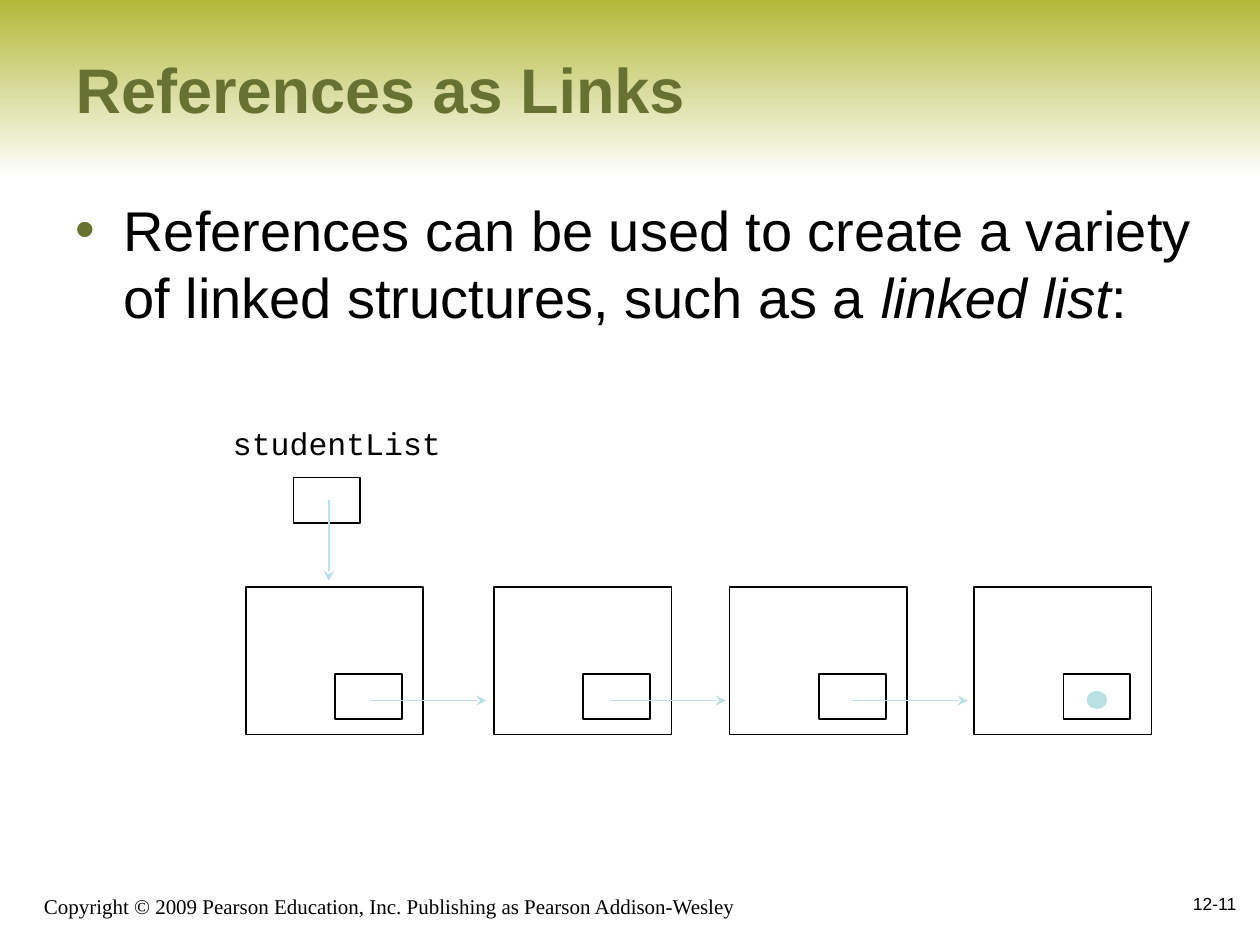
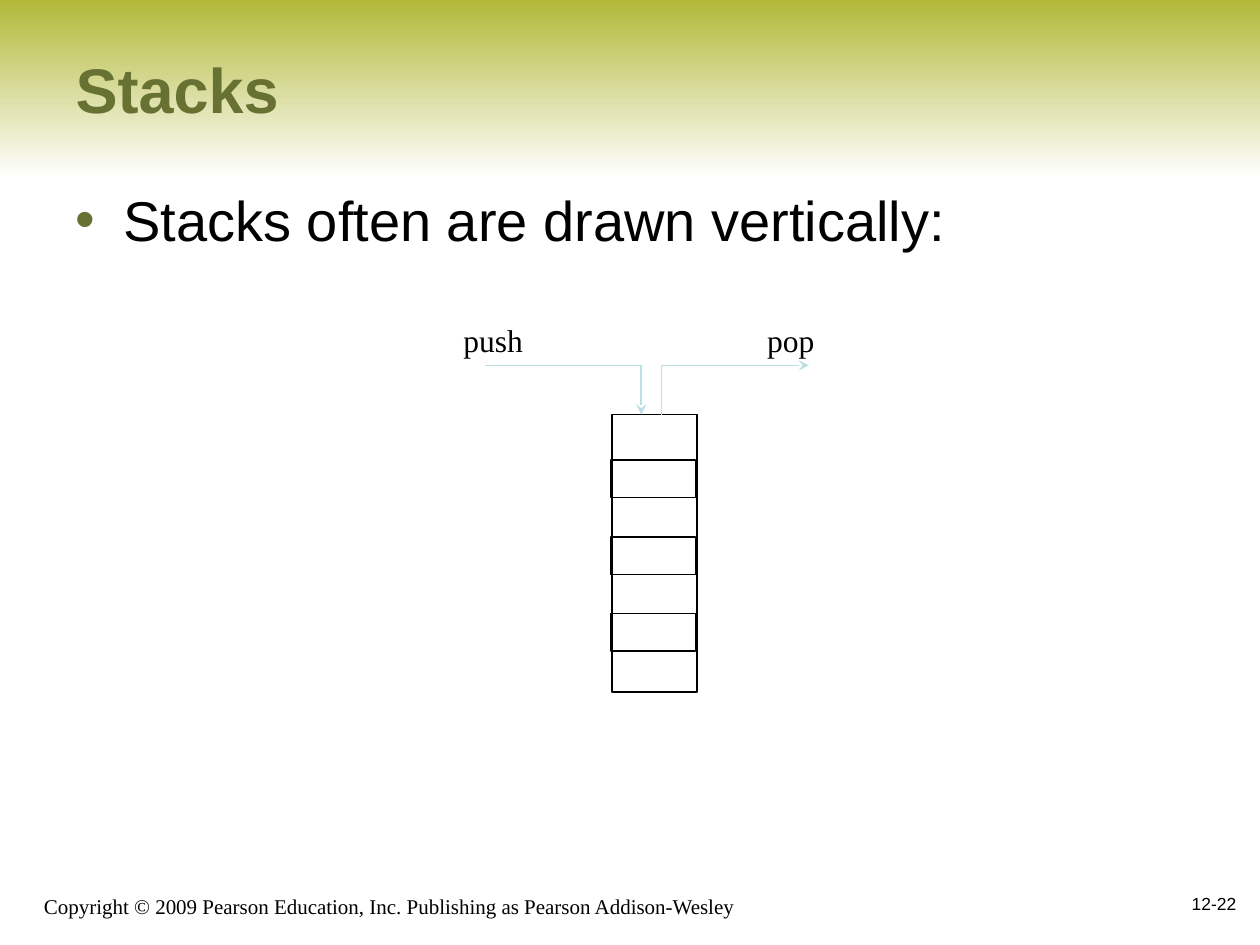
from pptx import Presentation
from pptx.dml.color import RGBColor
from pptx.enum.shapes import MSO_CONNECTOR as Conn, MSO_SHAPE as Geom
from pptx.enum.text import MSO_ANCHOR as Anchor, MSO_AUTO_SIZE as Fit, PP_ALIGN as Align
from pptx.oxml.ns import qn
from pptx.util import Inches, Pt
from lxml.etree import SubElement

# Shared look
OLIVE, LIME, WHITE, BLACK, AQUA = "677132", "B2B938", "FFFFFF", "000000", "BBE0E3"
SANS, SERIF, MONO = "Arial", "Times New Roman", "Courier New"
NOTICE = "Copyright © 2009 Pearson Education, Inc. Publishing as Pearson Addison-Wesley"


def paint(target, color):
    target.rgb = RGBColor.from_string(color)


def place(shape, left, top, width, height):
    shape.left, shape.top = Inches(left), Inches(top)
    shape.width, shape.height = Inches(width), Inches(height)


def add_run(para, text, size, face, color=BLACK, bold=False, italic=False):
    run = para.add_run()
    run.text = text
    font = run.font
    font.size, font.name, font.bold, font.italic = Pt(size), face, bold, italic
    paint(font.color, color)


def set_frame(shape, anchor, align=Align.LEFT, wrap=True, fit=Fit.NONE):
    """Set up the text frame and return its first paragraph."""
    frame = shape.text_frame
    frame.word_wrap, frame.auto_size = wrap, fit
    frame.vertical_anchor = anchor
    para = frame.paragraphs[0]
    para.alignment, para.space_before = align, Pt(0)
    return para


def add_text(slide, text, box, size, face, anchor=Anchor.TOP, **frame):
    shape = slide.shapes.add_textbox(*map(Inches, box))
    add_run(set_frame(shape, anchor, **frame), text, size, face)


def add_label(slide, text, box, face):
    add_text(slide, text, box, 18, face, wrap=False, fit=Fit.SHAPE_TO_FIT_TEXT)


def add_box(slide, left, top, width, height, geom=Geom.RECTANGLE, fill=None, line=BLACK):
    shape = slide.shapes.add_shape(geom, *map(Inches, (left, top, width, height)))
    shape.shadow.inherit = False
    if fill:
        shape.fill.solid()
        paint(shape.fill.fore_color, fill)
    else:
        shape.fill.background()
    paint(shape.line.color, line)
    shape.line.width = Pt(1)
    return shape


def add_line(slide, start, end, arrow=True):
    link = slide.shapes.add_connector(Conn.STRAIGHT, *map(Inches, start + end))
    paint(link.line.color, AQUA)
    link.line.width = Pt(1)
    if arrow:
        SubElement(link.line._get_or_add_ln(), qn("a:tailEnd"), type="stealth")
    SubElement(link.element.spPr, qn("a:effectLst"))


def add_bullet(para):
    props = para._p.get_or_add_pPr()
    props.set("marL", str(Inches(0.38)))
    props.set("indent", str(Inches(-0.38)))
    tint = SubElement(props, qn("a:buClr"))
    SubElement(tint, qn("a:srgbClr"), val=OLIVE)
    SubElement(props, qn("a:buFont"), typeface=SANS)
    SubElement(props, qn("a:buChar"), char="•")


def add_band(slide):
    band = add_box(slide, 0, 0, 10, 1.42)
    band.line.fill.background()
    band.fill.gradient()
    band.fill.gradient_angle = 270
    for stop, color, spot in zip(band.fill.gradient_stops, (LIME, WHITE), (0, 1)):
        paint(stop.color, color)
        stop.position = spot
    slide.shapes.element.insert(2, band.element)  # behind the title


def add_slide(deck, title, page, top, parts):
    """Add a slide with band, footer, title and one bullet of (text, italic) parts."""
    slide = deck.slides.add_slide(deck.slide_layouts[1])
    add_band(slide)
    add_text(slide, NOTICE, (0.25, 6.92, 6.08, 0.42), 12, SERIF, Anchor.BOTTOM)
    add_text(slide, page, (7.83, 6.92, 2.08, 0.5), 10, SANS, Anchor.MIDDLE,
             align=Align.RIGHT)
    head, body = slide.shapes.title, slide.placeholders[1]
    place(head, 0.5, 0.08, 9.08, 1.25)
    add_run(set_frame(head, Anchor.MIDDLE), title, 36, SANS, OLIVE, bold=True)
    place(body, 0.5, top, 9.08, 4.5)
    para = set_frame(body, Anchor.TOP)
    add_bullet(para)
    for text, italic in parts:
        add_run(para, text, 32, SANS, italic=italic)
    return slide


def draw_list(slide):
    # Head reference
    add_box(slide, 2.33, 3.79, 0.53, 0.36)
    add_label(slide, "studentList", (1.75, 3.32, 1.85, 0.4), MONO)
    # Nodes, each with its link field
    for left in (1.95, 3.92, 5.79, 7.73):
        add_box(slide, left, 4.66, 1.41, 1.17)
        add_box(slide, left + 0.71, 5.35, 0.53, 0.36)
    # Links and the end mark
    for left in (2.94, 4.84, 6.76):
        add_line(slide, (left, 5.56), (left + 0.92, 5.56))
    add_line(slide, (2.61, 3.97), (2.61, 4.61))
    add_box(slide, 8.63, 5.49, 0.15, 0.13, Geom.OVAL, AQUA, AQUA)


def draw_stack(slide):
    # Column and every second cell
    add_box(slide, 4.86, 3.29, 0.67, 2.2)
    for step in range(3):
        add_box(slide, 4.85, 3.65 + 0.61 * step, 0.67, 0.3)
    # Push enters, pop leaves
    add_label(slide, "push", (3.58, 2.5, 0.67, 0.4), SERIF)
    add_line(slide, (3.85, 2.9), (5.09, 2.9), arrow=False)
    add_line(slide, (5.09, 2.9), (5.09, 3.29))
    add_label(slide, "pop", (5.99, 2.5, 0.58, 0.4), SERIF)
    add_line(slide, (5.25, 2.9), (5.25, 3.29), arrow=False)
    add_line(slide, (5.25, 2.9), (6.42, 2.9))


def main():
    deck = Presentation()
    deck.slide_width, deck.slide_height = Inches(10), Inches(7.5)
    draw_list(add_slide(deck, "References as Links", "12-11", 1.5, [
        ("References can be used to create a variety of linked structures, such as a ", False),
        ("linked list", True),
        (":", False)]))
    draw_stack(add_slide(deck, "Stacks", "12-22", 1.42, [
        ("Stacks often are drawn vertically:", False)]))
    deck.save("out.pptx")


if __name__ == "__main__":
    main()
